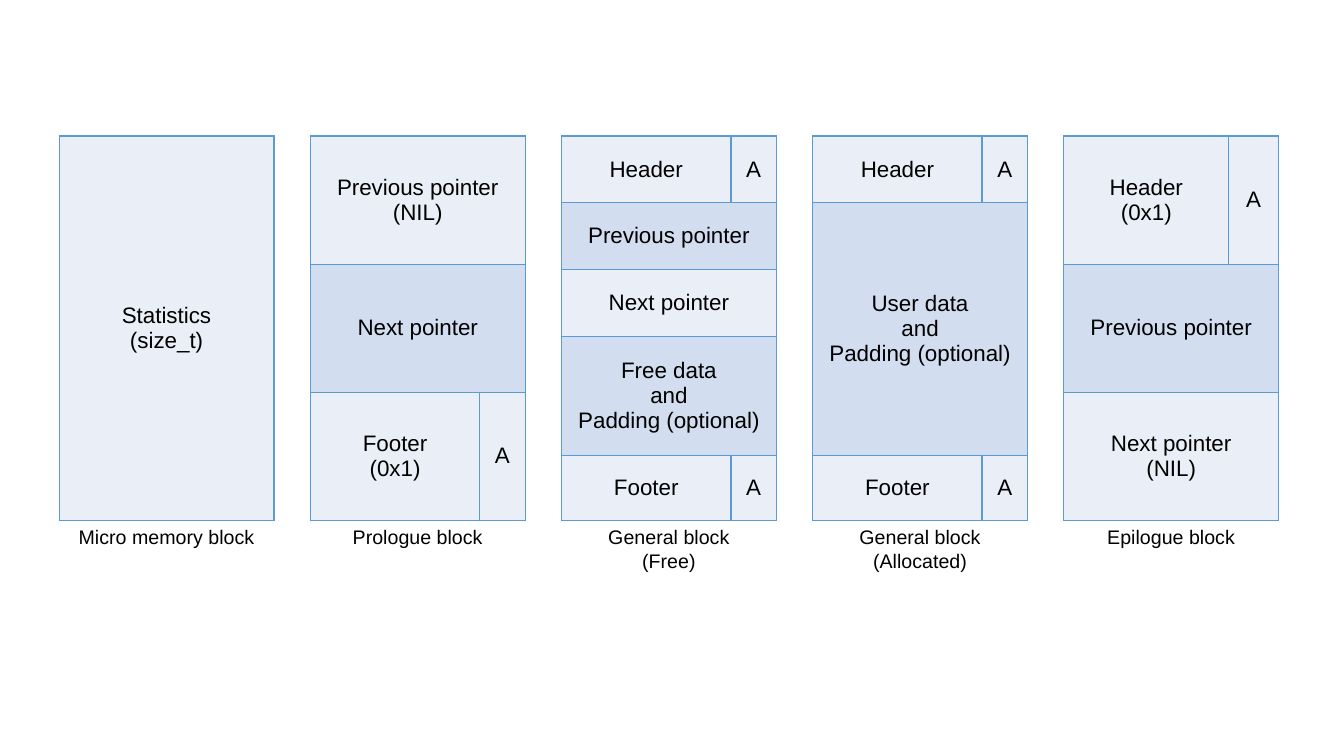
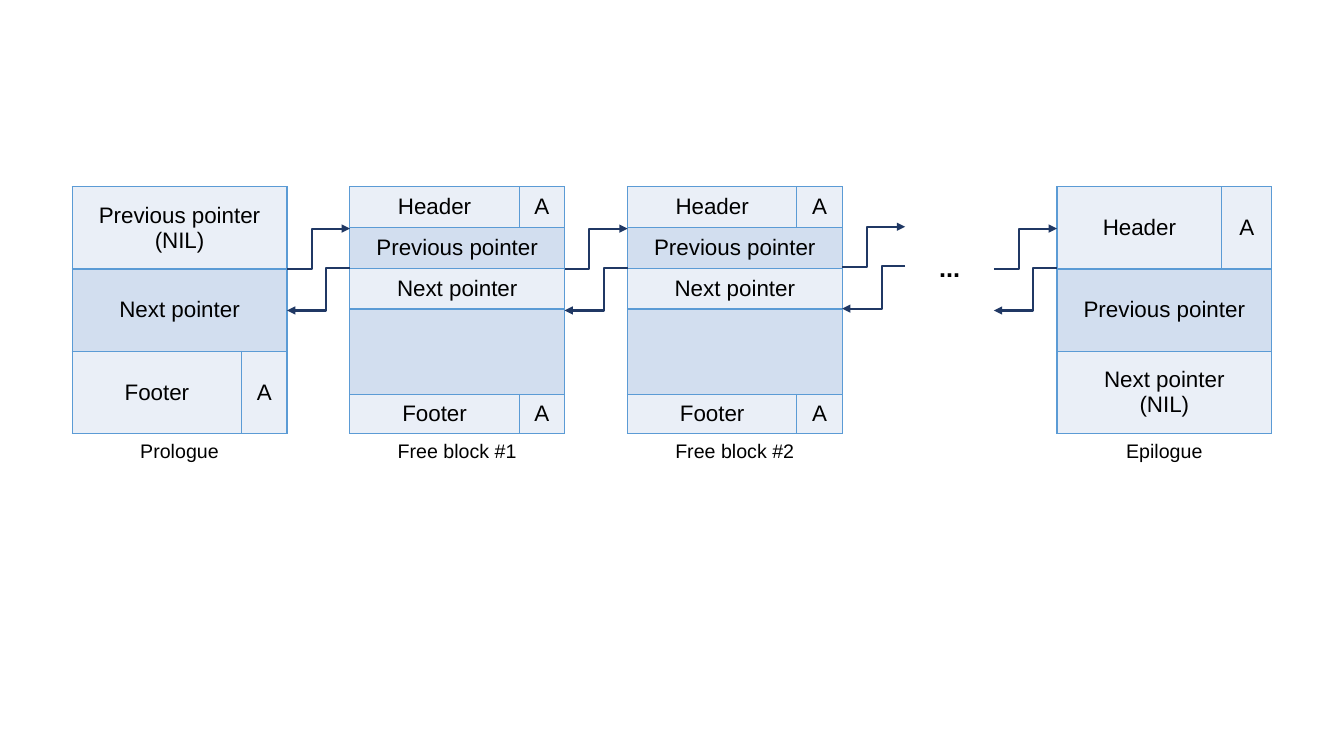
from lxml import etree
from pptx import Presentation
from pptx.dml.color import RGBColor
from pptx.enum.shapes import MSO_CONNECTOR
from pptx.enum.text import MSO_ANCHOR, MSO_AUTO_SIZE, PP_ALIGN
from pptx.oxml.ns import qn
from pptx.util import Pt

ELBOW = MSO_CONNECTOR.ELBOW
MIDDLE = MSO_ANCHOR.MIDDLE
FIT_SHAPE = MSO_AUTO_SIZE.SHAPE_TO_FIT_TEXT
CENTER = PP_ALIGN.CENTER

COLORS = {"pale": "EAEFF7", "mid": "D2DEEF", "border": "5B9BD5",
          "arrow": "203864", "text": "000000"}
FONTS = {
    "cell": {"name": "Arial", "size": Pt(16), "bold": False},
    "caption": {"name": "Arial", "size": Pt(14), "bold": False},
    "ellipsis": {"name": "Arial", "size": Pt(18), "bold": True},
}
TIGHT = {"margin_left": 0, "margin_right": 0, "margin_top": 0, "margin_bottom": 0}

BLOCK_WIDTH = 153.4
CAPTION_WIDTH = 147
FLAG_WIDTH = 32.4
EPILOGUE_FLAG_WIDTH = 35.6

HEADER, FOOTER = ("Header", "A"), ("Footer", "A")
PREVIOUS, NEXT = ("Previous pointer",), ("Next pointer",)
PREVIOUS_NIL, NEXT_NIL = ("Previous pointer\n(NIL)",), ("Next pointer\n(NIL)",)

LAYOUT_TOP = 97.2
LAYOUT_LEFT, LAYOUT_PITCH = 42.3, 179.4
LAYOUT_THIRDS = [91.5] * 3
LAYOUT_BLOCKS = [
    ("Micro memory block", [("Statistics\n(size_t)",)], [274.5], 0, {}),
    ("Prologue block", [PREVIOUS_NIL, NEXT, ("Footer\n(0x1)", "A")],
     LAYOUT_THIRDS, FLAG_WIDTH, TIGHT),
    ("General block\n(Free)",
     [HEADER, PREVIOUS, NEXT, ("Free data\nand\nPadding (optional)",), FOOTER],
     [47.7, 47.7, 47.7, 85, 46.4], FLAG_WIDTH, {}),
    ("General block\n(Allocated)",
     [HEADER, ("User data\nand\nPadding (optional)",), FOOTER],
     [47.7, 180.4, 46.4], FLAG_WIDTH, {}),
    ("Epilogue block", [("Header\n(0x1)", "A"), PREVIOUS, NEXT_NIL],
     LAYOUT_THIRDS, EPILOGUE_FLAG_WIDTH, {}),
]

LIST_TOP = 133.4
LIST_LEFTS = [51.6, 249.9, 448.2, 755]
LIST_THIRDS = [58.8] * 3
FREE_ROWS = [HEADER, PREVIOUS, NEXT, ("",), FOOTER]
FREE_HEIGHTS = [29.1, 29.1, 29.1, 61.2, 27.9]
LIST_BLOCKS = [
    ("Prologue", [PREVIOUS_NIL, NEXT, FOOTER], LIST_THIRDS, FLAG_WIDTH, TIGHT),
    ("Free block #1", FREE_ROWS, FREE_HEIGHTS, FLAG_WIDTH, {}),
    ("Free block #2", FREE_ROWS, FREE_HEIGHTS, FLAG_WIDTH, {}),
    ("Epilogue", [HEADER, PREVIOUS, NEXT_NIL], LIST_THIRDS, EPILOGUE_FLAG_WIDTH, {}),
]
LINK_WIDTH = 45
LINK_SHIFTS = [0, 0, -1.3, 0]
NEXT_LINK = {"start": 192.3, "end": 163.3, "bend": 39300}
BACK_LINK = {"start": 191.4, "end": 221.8, "bend": 37400}
ELLIPSIS_BOX = (604.8, 176.4)


def set_all(target, values):
    for name, value in values.items():
        setattr(target, name, value)


def write(frame, text, font):
    frame.text = text
    for para in frame.paragraphs:
        para.alignment = CENTER
        for span in para.runs:
            set_all(span.font, FONTS[font])
            span.font.color.rgb = RGBColor.from_string(COLORS["text"])


def add_label(page, left, top, text, font):
    lines = text.count("\n") + 1
    height = FONTS[font]["size"].pt * 1.2 * lines + 7.2
    box = page.shapes.add_textbox(Pt(left), Pt(top), Pt(CAPTION_WIDTH), Pt(height))
    box.text_frame.word_wrap = True
    box.text_frame.auto_size = FIT_SHAPE
    write(box.text_frame, text, font)


def add_borders(cell):
    properties = cell._tc.get_or_add_tcPr()
    for side in ("a:lnL", "a:lnR", "a:lnT", "a:lnB"):
        line = etree.SubElement(properties, qn(side), w=str(Pt(1)))
        fill = etree.SubElement(line, qn("a:solidFill"))
        etree.SubElement(fill, qn("a:srgbClr"), val=COLORS["border"])


def add_block(page, left, top, block):
    caption, rows, heights, flag_width, margins = block
    widths = [BLOCK_WIDTH - flag_width, flag_width] if flag_width else [BLOCK_WIDTH]
    frame = page.shapes.add_table(len(rows), len(widths), Pt(left), Pt(top),
                                  Pt(BLOCK_WIDTH), Pt(sum(heights)))
    table = frame.table
    set_all(table, {"first_row": False, "horz_banding": False})
    for column, width in zip(table.columns, widths):
        column.width = Pt(width)
    for index, (texts, height) in enumerate(zip(rows, heights)):
        table.rows[index].height = Pt(height)
        cells = [table.cell(index, column) for column in range(len(widths))]
        shade = COLORS["mid" if index % 2 else "pale"]
        for cell in cells:
            set_all(cell, {"vertical_anchor": MIDDLE, **margins})
            add_borders(cell)
            cell.fill.solid()
            cell.fill.fore_color.rgb = RGBColor.from_string(shade)
        if len(texts) < len(cells):
            cells[0].merge(cells[-1])
        for cell, text in zip(cells, texts):
            write(cell.text_frame, text, "cell")
    caption_left = left + (BLOCK_WIDTH - CAPTION_WIDTH) / 2
    add_label(page, caption_left, top + sum(heights), caption, "caption")


def add_arrow(page, start_x, end_x, shift, link):
    arrow = page.shapes.add_connector(ELBOW, Pt(start_x), Pt(link["start"] + shift),
                                      Pt(end_x), Pt(link["end"] + shift))
    arrow.line.width = Pt(1.5)
    arrow.line.color.rgb = RGBColor.from_string(COLORS["arrow"])
    etree.SubElement(arrow.line._get_or_add_ln(), qn("a:tailEnd"), type="triangle")
    properties = arrow._element.spPr
    etree.SubElement(properties, qn("a:effectLst"))
    guides = properties.find(qn("a:prstGeom")).find(qn("a:avLst"))
    etree.SubElement(guides, qn("a:gd"), name="adj1", fmla=f"val {link['bend']}")


deck = Presentation()
set_all(deck, {"slide_width": Pt(960), "slide_height": Pt(540)})
layout_page, list_page = [deck.slides.add_slide(deck.slide_layouts[6]) for _ in range(2)]

for position, block in enumerate(LAYOUT_BLOCKS):
    add_block(layout_page, LAYOUT_LEFT + position * LAYOUT_PITCH, LAYOUT_TOP, block)

for left, block in zip(LIST_LEFTS, LIST_BLOCKS):
    add_block(list_page, left, LIST_TOP, block)
link_lefts = [left + BLOCK_WIDTH for left in LIST_LEFTS[:-1]] + [LIST_LEFTS[-1] - LINK_WIDTH]
for left, shift in zip(link_lefts, LINK_SHIFTS):
    add_arrow(list_page, left, left + LINK_WIDTH, shift, NEXT_LINK)
    add_arrow(list_page, left + LINK_WIDTH, left, shift, BACK_LINK)
add_label(list_page, *ELLIPSIS_BOX, "...", "ellipsis")

deck.save("out.pptx")
